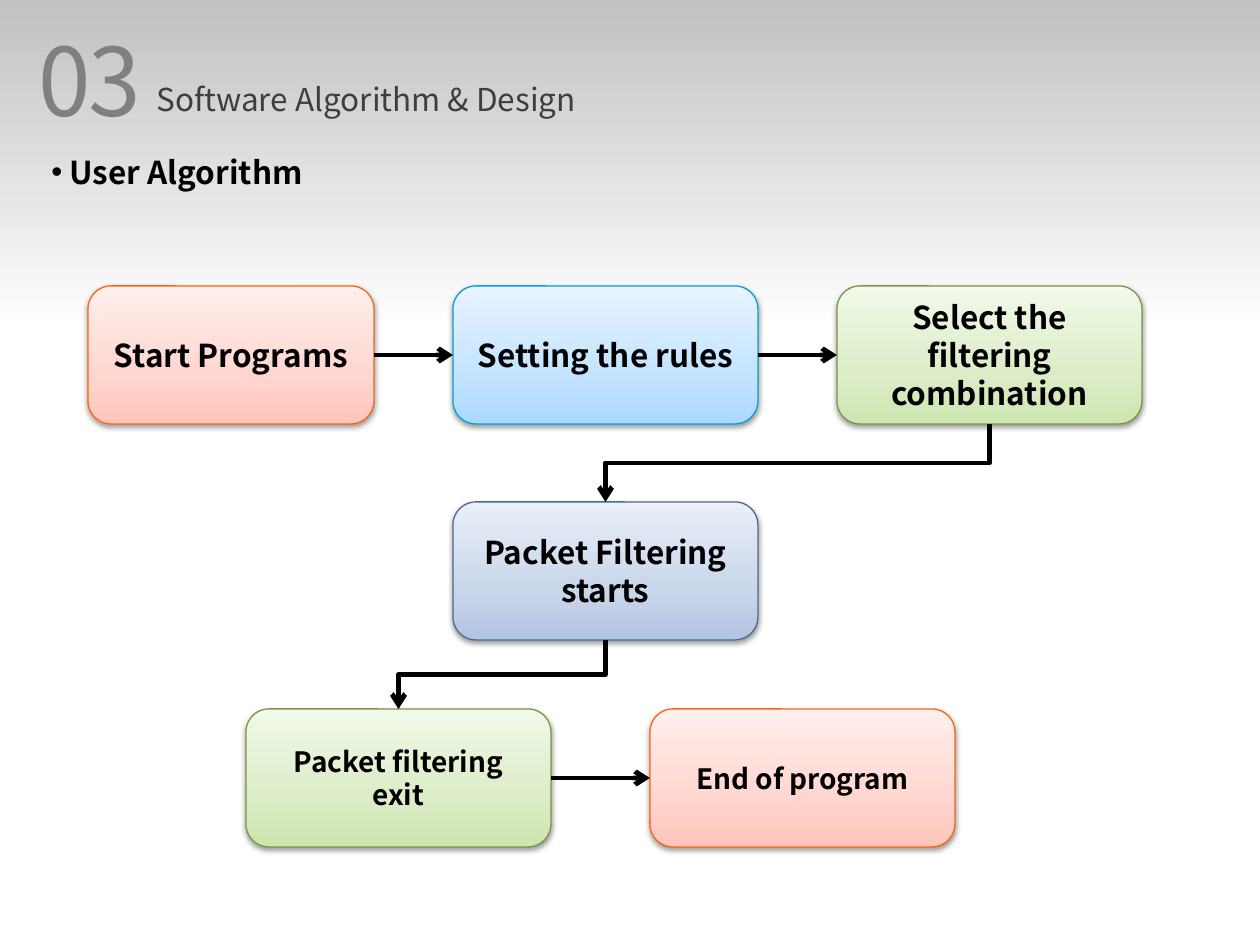
from copy import deepcopy

from lxml.etree import SubElement
from pptx import Presentation
from pptx.dml.color import RGBColor
from pptx.enum.shapes import MSO_CONNECTOR as LINK, MSO_SHAPE
from pptx.enum.text import MSO_ANCHOR as ANCHOR, PP_ALIGN as ALIGN
from pptx.oxml.ns import qn
from pptx.util import Inches, Pt

PX = Inches(1) // 126

THEME = {
    "font": "Noto Sans CJK KR",
    "black": "000000", "number": "808080", "title": "3C3E3F",
    "number_size": 54, "size": 18, "small_size": 16,
    "backdrop": ((0, "C0C1C2"), (0.35, "FFFFFF")),
    # outline, then gradient from bottom to top
    "red": ("F96615", ("FFC5BA", "FFD6CF", "FFEFED")),
    "sky": ("03A0D9", ("ABD8FF", "C3E3FF", "E8F4FF")),
    "green": ("7A9746", ("CDE6AF", "DCECC7", "F1F9E9")),
    "indigo": ("4D6B92", ("B2C3E3", "C9D5EA", "EAEFF8")),
}


def write(box, text, size=THEME["size"], color=THEME["black"], bold=False,
          align=ALIGN.LEFT, anchor=ANCHOR.TOP):
    frame = box.text_frame
    frame.word_wrap = True
    frame.vertical_anchor = anchor
    para = frame.paragraphs[0]
    para.alignment = align
    span = para.add_run()
    span.text = text
    span.font.name = THEME["font"]
    span.font.size = Pt(size)
    span.font.bold = bold
    span.font.color.rgb = RGBColor.from_string(color)
    SubElement(span.font._element, qn("a:ea"), typeface=THEME["font"])
    return para


def color_stops(fill, stops, angle):
    """Set the stops of a gradient; the angle runs counter-clockwise."""
    fill.gradient_angle = angle
    for stop, (position, color) in zip(fill.gradient_stops, stops):
        stop.position = position
        stop.color.rgb = RGBColor.from_string(color)


deck = Presentation()
deck.slide_width, deck.slide_height = Inches(10), Inches(7.5)
page = deck.slides.add_slide(deck.slide_layouts[6])
backdrop = page.background.fill
backdrop.gradient()
color_stops(backdrop, THEME["backdrop"], 270)

# Headings
number = page.shapes.add_textbox(26 * PX, 16 * PX, 357 * PX, 127 * PX)
para = write(number, "03", size=THEME["number_size"], color=THEME["number"])
para.runs[0].font._element.set("spc", "-150")

title = page.shapes.add_textbox(144 * PX, 74 * PX, 615 * PX, 89 * PX)
write(title, "Software Algorithm & Design", color=THEME["title"])

topic = page.shapes.add_textbox(39 * PX, 147 * PX, 1191 * PX, 280 * PX)
para = write(topic, "User Algorithm", bold=True)
bullet = para._p.get_or_add_pPr()
bullet.set("marL", str(18 * PX))
bullet.set("indent", str(-18 * PX))
SubElement(bullet, qn("a:buFont"), typeface="Arial")
SubElement(bullet, qn("a:buChar"), char="•")

# Steps of the flow: text, left, top, width, palette, type size
STEP_WIDTH, STEP_HEIGHT = 305, 138
ROWS = (286, 502, 709)
BIG, SMALL = THEME["size"], THEME["small_size"]
STEPS = (
    ("Start Programs", 88, ROWS[0], 286, "red", BIG),
    ("Setting the rules", 453, ROWS[0], STEP_WIDTH, "sky", BIG),
    ("Select the filtering combination", 837, ROWS[0], STEP_WIDTH, "green", BIG),
    ("Packet Filtering starts", 453, ROWS[1], STEP_WIDTH, "indigo", BIG),
    ("Packet filtering exit", 246, ROWS[2], STEP_WIDTH, "green", SMALL),
    ("End of program", 650, ROWS[2], STEP_WIDTH, "red", SMALL),
)
steps = []
for text, left, top, width, palette, size in STEPS:
    step = page.shapes.add_shape(MSO_SHAPE.ROUNDED_RECTANGLE, left * PX, top * PX,
                                 width * PX, STEP_HEIGHT * PX)
    outline, shades = THEME[palette]
    step.line.color.rgb = RGBColor.from_string(outline)
    step.line.width = Pt(0.75)
    step.fill.gradient()
    props = step._element.spPr
    stop_list = props.find(".//" + qn("a:gsLst"))
    stop_list.append(deepcopy(stop_list[0]))
    color_stops(step.fill, zip((0, 0.35, 1), shades), 90)

    step.shadow.inherit = False
    shadow = SubElement(props.find(qn("a:effectLst")), qn("a:outerShdw"),
                        blurRad="40000", dist="20000", dir="5400000", rotWithShape="0")
    shade = SubElement(shadow, qn("a:srgbClr"), val=THEME["black"])
    SubElement(shade, qn("a:alpha"), val="38000")
    write(step, text, size=size, bold=True, align=ALIGN.CENTER, anchor=ANCHOR.MIDDLE)
    steps.append(step)

# Arrows from each step to the next
TOP, LEFT, BOTTOM, RIGHT = range(4)
for start, end in zip(steps, steps[1:]):
    same_row = start.top == end.top
    arrow = page.shapes.add_connector(LINK.STRAIGHT if same_row else LINK.ELBOW, 0, 0, 0, 0)
    arrow.begin_connect(start, RIGHT if same_row else BOTTOM)
    arrow.end_connect(end, LEFT if same_row else TOP)
    props = arrow._element.spPr
    if not same_row:
        # A quarter turn makes the elbow leave and arrive vertically
        across, down = arrow.width, arrow.height
        arrow.left += (across - down) // 2
        arrow.top += (down - across) // 2
        arrow.width, arrow.height = down, across
        frame = props.find(qn("a:xfrm"))
        frame.attrib.pop("flipH", None)
        frame.set("rot", "5400000")
    arrow.line.color.rgb = RGBColor.from_string(THEME["black"])
    arrow.line.width = Pt(2.75)
    SubElement(props.find(qn("a:ln")), qn("a:tailEnd"), type="arrow")
    SubElement(props, qn("a:effectLst"))

deck.save("out.pptx")
